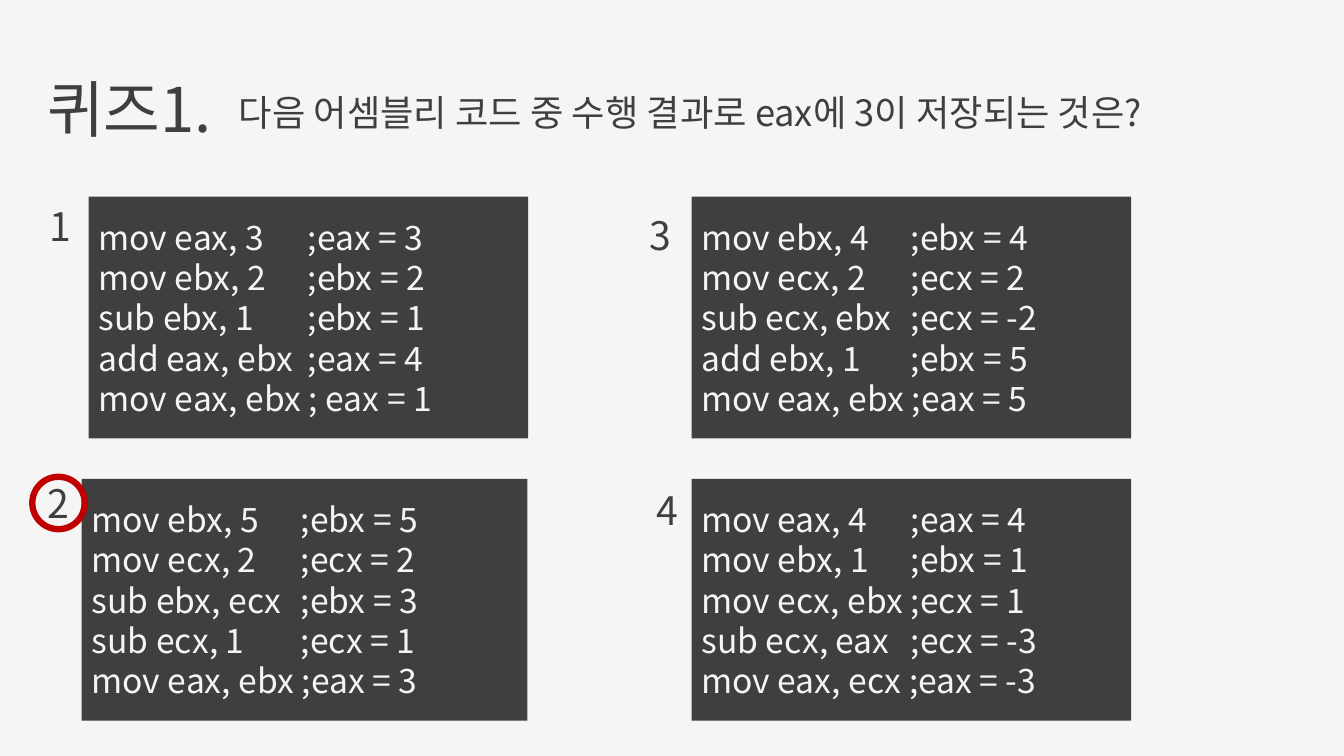
from dataclasses import dataclass

from lxml import etree
from pptx import Presentation
from pptx import util as u
from pptx.dml.color import RGBColor
from pptx.enum import shapes, text
from pptx.oxml import ns


@dataclass(frozen=True)
class Theme:
    font: str = "Noto Sans CJK KR"
    dark: RGBColor = RGBColor(0x3F, 0x3F, 0x3F)
    light: RGBColor = RGBColor(0xF5, 0xF5, 0xF5)
    answer: RGBColor = RGBColor(0xC0, 0x00, 0x00)
    title_size: float = 44
    question_size: float = 25.9
    number_size: float = 28
    code_size: float = 24
    ring_width: float = 4.5
    tight: float = 1.2
    loose: float = 1.27


class QuizPage:
    def __init__(self, deck, theme):
        self.theme = theme
        self.page = deck.slides.add_slide(deck.slide_layouts[6])
        self.page.background.fill.solid()
        self.page.background.fill.fore_color.rgb = theme.light

    def add_words(self, para, words, size, color, leading):
        para.alignment = text.PP_ALIGN.LEFT
        para.line_spacing = u.Pt(round(size * leading, 1))
        span = para.add_run()
        span.text = words
        span.font.name = self.theme.font
        span.font.size = u.Pt(size)
        span.font.color.rgb = color
        east_asian = etree.SubElement(span.font._element, ns.qn("a:ea"))
        east_asian.set("typeface", self.theme.font)

    def label(self, place, words, size, leading, anchor=text.MSO_ANCHOR.TOP):
        box = self.page.shapes.add_textbox(*map(u.Inches, place))
        frame = box.text_frame
        frame.word_wrap = True
        frame.vertical_anchor = anchor
        self.add_words(frame.paragraphs[0], words, size, self.theme.dark, leading)

    def shape(self, kind, place):
        shape = self.page.shapes.add_shape(kind, *map(u.Inches, place))
        shape.shadow.inherit = False
        return shape

    def code(self, place, lines):
        panel = self.shape(shapes.MSO_SHAPE.RECTANGLE, place)
        panel.fill.solid()
        panel.fill.fore_color.rgb = self.theme.dark
        panel.line.fill.background()
        frame = panel.text_frame
        frame.word_wrap = True
        frame.vertical_anchor = text.MSO_ANCHOR.MIDDLE
        for index, line in enumerate(lines):
            para = frame.add_paragraph() if index else frame.paragraphs[0]
            self.add_words(para, line, self.theme.code_size, self.theme.light, self.theme.tight)

    def ring(self, place):
        ring = self.shape(shapes.MSO_SHAPE.OVAL, place)
        ring.fill.background()
        ring.line.color.rgb = self.theme.answer
        ring.line.width = u.Pt(self.theme.ring_width)


CHOICES = [
    ("1", (0.39, 1.93), (0.88, 1.95, 4.36, 2.4), [
        "mov eax, 3\t ;eax = 3",
        "mov ebx, 2\t ;ebx = 2",
        "sub ebx, 1\t ;ebx = 1",
        "add eax, ebx\t ;eax = 4",
        "mov eax, ebx ; eax = 1",
    ]),
    ("2", (0.37, 4.68), (0.81, 4.75, 4.42, 2.4), [
        "mov ebx, 5\t ;ebx = 5",
        "mov ecx, 2\t ;ecx = 2",
        "sub ebx, ecx\t ;ebx = 3",
        "sub ecx, 1\t ;ecx = 1",
        "mov eax, ebx ;eax = 3",
    ]),
    ("3", (6.34, 2.02), (6.86, 1.95, 4.36, 2.4), [
        "mov ebx, 4\t ;ebx = 4",
        "mov ecx, 2\t ;ecx = 2",
        "sub ecx, ebx\t ;ecx = -2",
        "add ebx, 1\t ;ebx = 5",
        "mov eax, ebx ;eax = 5",
    ]),
    ("4", (6.41, 4.75), (6.86, 4.75, 4.36, 2.4), [
        "mov eax, 4\t ;eax = 4",
        "mov ebx, 1\t ;ebx = 1",
        "mov ecx, ebx ;ecx = 1",
        "sub ecx, eax\t ;ecx = -3",
        "mov eax, ecx ;eax = -3",
    ]),
]


def main():
    deck = Presentation()
    deck.slide_width = u.Inches(13.33)
    deck.slide_height = u.Inches(7.5)
    theme = Theme()
    quiz = QuizPage(deck, theme)
    quiz.label((0.37, 0.34, 2.14, 1.45), "퀴즈1.", theme.title_size,
               theme.tight, text.MSO_ANCHOR.MIDDLE)
    quiz.label((2.27, 0.82, 10.69, 0.6),
               "다음 어셈블리 코드 중 수행 결과로 eax에 3이 저장되는 것은?",
               theme.question_size, theme.loose)
    for number, corner, panel, lines in CHOICES:
        quiz.code(panel, lines)
        quiz.label((*corner, 1.21, 0.6), number, theme.number_size, theme.loose)
    quiz.ring((0.32, 4.73, 0.52, 0.52))
    deck.save("out.pptx")


if __name__ == "__main__":
    main()
